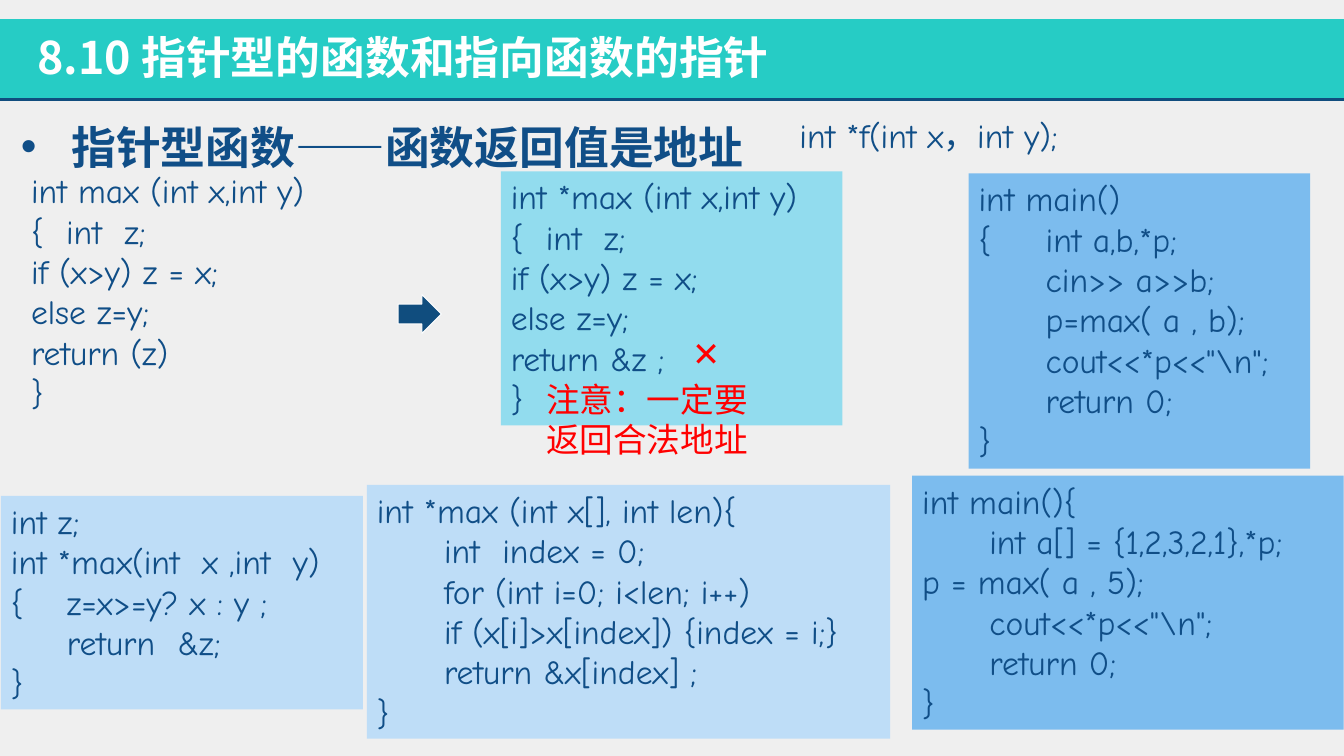
import pptx
import pptx.util
import pptx.dml.color
import pptx.enum.shapes
import pptx.enum.text
import pptx.oxml.ns
import lxml.etree

Pt = pptx.util.Pt
SHAPES = pptx.enum.shapes.MSO_SHAPE
ANCHOR = pptx.enum.text.MSO_ANCHOR

THEME = {
    "background": "EFEFEF", "banner": "26CCC5", "navy": "104D7E", "ink": "104E87",
    "white": "FFFFFF", "red": "FF0000", "cyan": "92DCEE", "pale": "BEDDF7", "blue": "7CBCEE",
    "heading_font": "Noto Sans CJK JP", "code_font": "Comic Neue",
    "heading_size": 32, "code_size": 24,
}
SLIDE_WIDTH, SLIDE_HEIGHT = 960, 540
BANNER_TOP, BANNER_HEIGHT = 13.7, 57.6

TITLE = "8.10 指针型的函数和指向函数的指针"
TOPIC = "指针型函数——函数返回值是地址"
PROTOTYPE = "int *f(int x，int y);"
WARNING = "注意：一定要返回合法地址"
CROSS = "✕"

CODE_BLOCKS = [
    {"box": (357.8, 122.4, 244, 181.4), "fill": "cyan", "tab": 25, "lines": [
        "int *max (int x,int y)", "{\tint  z;", "if (x>y) z = x;",
        "else z=y;", "return &z ;", "}"]},
    {"box": (15.1, 118.1, 244, 181.4), "fill": None, "tab": 25, "lines": [
        "int max (int x,int y)", "{\tint  z;", "if (x>y) z = x;",
        "else z=y;", "return (z)", "}"]},
    {"box": (0.7, 354.2, 258.5, 152.6), "fill": "pale", "tab": 40, "lines": [
        "int z;", "int *max(int  x ,int  y)", "{\tz=x>=y? x : y ;",
        "\treturn  &z;", "}"]},
    {"box": (691.9, 123.8, 244, 211), "fill": "blue", "tab": 48, "lines": [
        "int main()", "{\tint a,b,*p;", "\tcin>> a>>b;", "\tp=max( a , b);",
        "\tcout<<*p<<\"\\n\";", "\treturn 0;", "}"]},
    {"box": (262.1, 346.3, 373.7, 181.4), "fill": "pale", "tab": 48, "lines": [
        "int *max (int x[], int len){", "\tint  index = 0;",
        "\tfor (int i=0; i<len; i++)", "\tif (x[i]>x[index]) {index = i;}",
        "\treturn &x[index] ;", "}"]},
    {"box": (651.6, 339.8, 308.2, 181.4), "fill": "blue", "tab": 48, "lines": [
        "int main(){", "\tint a[] = {1,2,3,2,1},*p;", "p = max( a , 5);",
        "\tcout<<*p<<\"\\n\";", "\treturn 0;", "}"]},
]


def color(name):
    return pptx.dml.color.RGBColor.from_string(THEME[name])


def add_xml(parent, tag, **attributes):
    return lxml.etree.SubElement(parent, pptx.oxml.ns.qn(tag), **attributes)


def add_box(slide, box, fill, kind=SHAPES.RECTANGLE):
    shape = slide.shapes.add_shape(kind, *map(Pt, box))
    shape.shadow.inherit = False
    shape.fill.solid()
    shape.fill.fore_color.rgb = color(fill)
    shape.line.fill.background()
    return shape


def add_text(slide, text, box, *, fill=None, font="code_font", size="code_size", ink="ink",
             bold=False, tab=None, bullet=False, spacing=None, wrap=True, inset=None,
             anchor=ANCHOR.TOP):
    shape = add_box(slide, box, fill) if fill else slide.shapes.add_textbox(*map(Pt, box))
    frame = shape.text_frame
    frame.word_wrap = wrap
    frame.vertical_anchor = anchor
    if inset is not None:
        frame.margin_left = frame.margin_right = Pt(inset)
        frame.margin_top = frame.margin_bottom = Pt(inset)
    for index, line in enumerate(text.split("\n")):
        paragraph = frame.add_paragraph() if index else frame.paragraphs[0]
        paragraph.alignment = pptx.enum.text.PP_ALIGN.LEFT
        if spacing:
            paragraph.line_spacing = spacing
        run = paragraph.add_run()
        run.text = line
        run.font.name = THEME[font]
        run.font.size = Pt(THEME[size])
        run.font.bold = bold
        run.font.color.rgb = color(ink)
        add_xml(run.font._element, "a:ea", typeface=THEME["heading_font"])
        properties = paragraph._p.get_or_add_pPr()
        if bullet:
            properties.set("marL", str(Pt(36)))
            properties.set("indent", str(Pt(-36)))
            add_xml(properties, "a:buFont", typeface="Arial")
            add_xml(properties, "a:buChar", char="•")
        if tab:
            stops = add_xml(properties, "a:tabLst")
            add_xml(stops, "a:tab", pos=str(Pt(tab)), algn="l")
    return shape


def main():
    presentation = pptx.Presentation()
    presentation.slide_width, presentation.slide_height = Pt(SLIDE_WIDTH), Pt(SLIDE_HEIGHT)
    slide = presentation.slides.add_slide(presentation.slide_layouts[6])
    slide.background.fill.solid()
    slide.background.fill.fore_color.rgb = color("background")

    add_box(slide, (0, BANNER_TOP, SLIDE_WIDTH, BANNER_HEIGHT), "banner")
    rule_top = Pt(BANNER_TOP + BANNER_HEIGHT)
    rule = slide.shapes.add_connector(
        pptx.enum.shapes.MSO_CONNECTOR.STRAIGHT, 0, rule_top, Pt(SLIDE_WIDTH), rule_top)
    rule.line.color.rgb = color("navy")
    rule.line.width = Pt(2)
    add_xml(rule._element.spPr, "a:effectLst")

    heading = {"font": "heading_font", "size": "heading_size", "bold": True}
    add_text(slide, TITLE, (19.4, 18, 632.2, 46.1), ink="white", **heading)
    add_text(slide, TOPIC, (7.9, 62.6, 602.6, 60.5), bullet=True, spacing=1.5, **heading)
    add_text(slide, PROTOTYPE, (571, 82.1, 224.6, 28.8), wrap=False, inset=0,
             anchor=ANCHOR.MIDDLE)

    for block in CODE_BLOCKS:
        add_text(slide, "\n".join(block["lines"]), block["box"],
                 fill=block["fill"], tab=block["tab"])

    add_text(slide, WARNING, (383, 267.1, 169.2, 65.5), ink="red")
    add_text(slide, CROSS, (487.4, 234, 64.8, 36.7), ink="red")

    arrow = add_box(slide, (285.8, 208.8, 28.1, 31), "navy", SHAPES.DOWN_ARROW)
    arrow.rotation = 270
    arrow.line.color.rgb = color("white")
    arrow.line.width = Pt(0.75)

    presentation.save("out.pptx")


if __name__ == "__main__":
    main()
